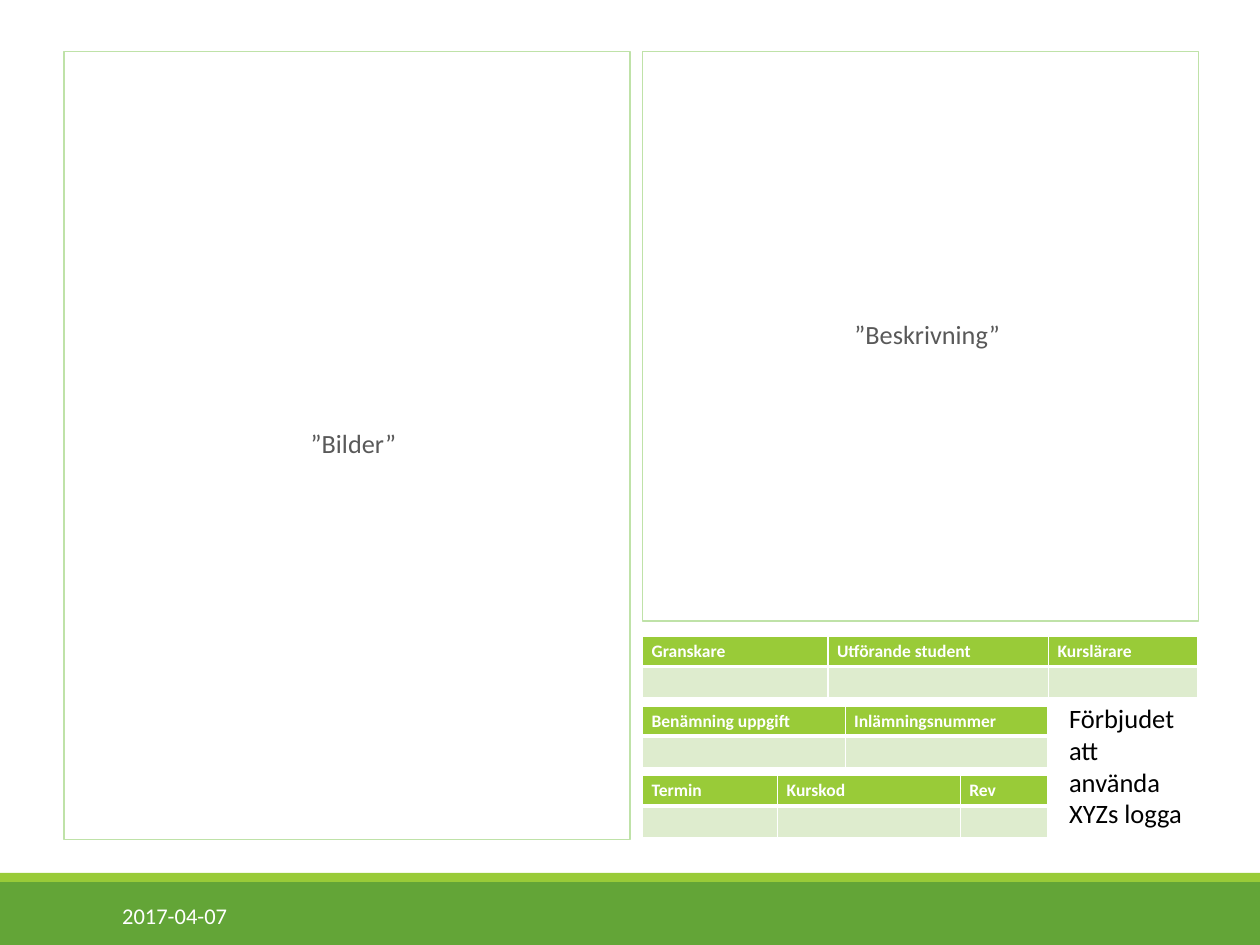
from lxml import etree
from pptx import Presentation, util as u
from pptx.dml.color import RGBColor
from pptx.enum import shapes, text
from pptx.oxml.ns import qn

GREEN, LIME, PALE, OUTLINE = "63A537", "99CB38", "DEECCE", "BFE2A8"
WHITE, GREY, BLACK = "FFFFFF", "595959", "000000"


def rgb(value):
    return RGBColor.from_string(value)


class Sheet:
    font = "Calibri"

    def __init__(self, s):
        self.s = s

    def run(self, p, words, size, color, bold=False):
        r = p.add_run()
        r.text = words
        r.font.name, r.font.size, r.font.bold = self.font, u.Pt(size), bold
        r.font.color.rgb = rgb(color)

    def rect(self, box, fill=None, line=None):
        sp = self.s.shapes.add_shape(shapes.MSO_SHAPE.RECTANGLE, *map(u.Inches, box))
        sp.shadow.inherit = False
        if fill:
            sp.fill.solid()
            sp.fill.fore_color.rgb = rgb(fill)
        else:
            sp.fill.background()
        if line:
            sp.line.color.rgb = rgb(line)
            sp.line.width = u.Pt(1)
        else:
            sp.line.fill.background()
        return sp

    def panel(self, box, words):
        tf = self.rect(box, line=OUTLINE).text_frame
        tf.word_wrap = True
        tf.vertical_anchor = text.MSO_ANCHOR.MIDDLE
        tf.margin_left = tf.margin_right = 0
        p = tf.paragraphs[0]
        p.alignment = text.PP_ALIGN.CENTER
        p.line_spacing, p.space_before, p.space_after = 0.9, u.Pt(12.6), u.Pt(2.1)
        pPr = p._p.get_or_add_pPr()
        pPr.set("marL", str(u.Inches(0.1)))
        pPr.set("indent", str(u.Inches(-0.1)))
        color = etree.SubElement(pPr, qn("a:buClr"))
        etree.SubElement(color, qn("a:srgbClr"), val=LIME)
        etree.SubElement(pPr, qn("a:buChar"), char=" ")
        self.run(p, words, 21, GREY)

    def label(self, box, words, size, color, anchor=text.MSO_ANCHOR.TOP):
        tf = self.s.shapes.add_textbox(*map(u.Inches, box)).text_frame
        tf.word_wrap = True
        tf.vertical_anchor = anchor
        self.run(tf.paragraphs[0], words, size, color)

    def borders(self, cell, bottom):
        tcPr = cell._tc.get_or_add_tcPr()
        for side, width in (("L", 1), ("R", 1), ("T", 1), ("B", bottom)):
            ln = etree.SubElement(tcPr, qn("a:ln" + side), w=str(u.Pt(width)))
            fill = etree.SubElement(ln, qn("a:solidFill"))
            etree.SubElement(fill, qn("a:srgbClr"), val=WHITE)

    def form(self, left, top, columns):
        heights = (0.33, 0.35)
        box = (left, top, sum(w for _, w in columns), sum(heights))
        table = self.s.shapes.add_table(2, len(columns), *map(u.Inches, box)).table
        for row, height in zip(table.rows, heights):
            row.height = u.Inches(height)
        for i, (heading, width) in enumerate(columns):
            table.columns[i].width = u.Inches(width)
            head, entry = table.cell(0, i), table.cell(1, i)
            for cell, fill, bottom in ((head, LIME, 3), (entry, PALE, 1)):
                self.borders(cell, bottom)
                cell.fill.solid()
                cell.fill.fore_color.rgb = rgb(fill)
            self.run(head.text_frame.paragraphs[0], heading, 14, WHITE, True)
            p = entry.text_frame.paragraphs[0]
            etree.SubElement(p._p, qn("a:endParaRPr"), sz="1400")


prs = Presentation()
prs.slide_width, prs.slide_height = u.Inches(14), u.Inches(10.5)
sheet = Sheet(prs.slides.add_slide(prs.slide_layouts[6]))

sheet.rect((0, 9.8, 14, 0.7), GREEN)
sheet.rect((0, 9.7, 14, 0.1), LIME)
sheet.label((1.26, 9.89, 2.84, 0.56), "2017-04-07", 18, WHITE, text.MSO_ANCHOR.MIDDLE)

forms = (
    (("Granskare", 2.06), ("Utförande student", 2.45), ("Kurslärare", 1.66)),
    (("Benämning uppgift", 2.25), ("Inlämningsnummer", 2.25)),
    (("Termin", 1.5), ("Kurskod", 2.03), ("Rev", 0.97)),
)
for i, columns in enumerate(forms):
    sheet.form(7.14, 7.07 + 0.775 * i, columns)

sheet.panel((0.71, 0.57, 6.29, 8.76), "”Bilder”")
sheet.panel((7.14, 0.57, 6.18, 6.33), "”Beskrivning”")
sheet.label((11.78, 7.75, 1.5, 1.88), "Förbjudet att använda XYZs logga", 21.2, BLACK)

prs.save("out.pptx")
